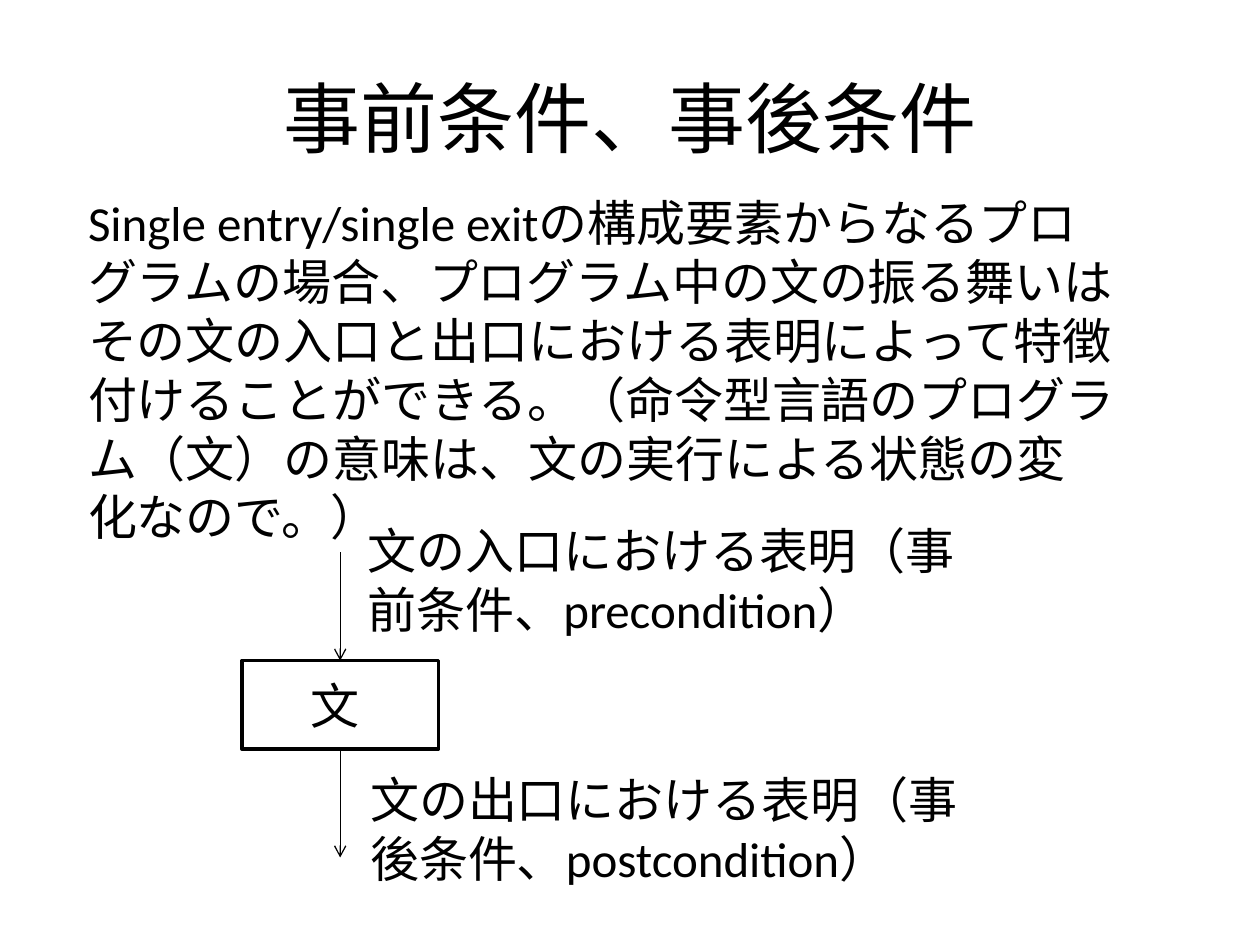
from lxml import etree
from pptx import Presentation
from pptx.dml.color import RGBColor
from pptx.enum.shapes import MSO_CONNECTOR, MSO_SHAPE
from pptx.enum.text import MSO_ANCHOR, PP_ALIGN
from pptx.oxml.ns import qn
from pptx.util import Pt

BLACK = RGBColor(0x00, 0x00, 0x00)
WHITE = RGBColor(0xFF, 0xFF, 0xFF)


def write(sp, text, size=28, align=PP_ALIGN.LEFT, anchor=MSO_ANCHOR.TOP):
    tf = sp.text_frame
    tf.word_wrap = True
    tf.vertical_anchor = anchor
    p = tf.paragraphs[0]
    p.alignment = align
    r = p.add_run()
    r.text = text
    r.font.size = Pt(size)
    r.font.name = "Calibri"
    r.font.color.rgb = BLACK


prs = Presentation()
prs.slide_width, prs.slide_height = Pt(720), Pt(540)
s = prs.slides.add_slide(prs.slide_layouts[5])
s.background.fill.solid()
s.background.fill.fore_color.rgb = WHITE

title = s.shapes.title
title.left, title.top, title.width, title.height = Pt(36), Pt(21.6), Pt(648), Pt(90)
write(title, "事前条件、事後条件", 44, PP_ALIGN.CENTER, MSO_ANCHOR.MIDDLE)

texts = [
    (43.2, 106.6, 600, 177, "Single entry/single exitの構成要素からなるプログラムの場合、"
     "プログラム中の文の振る舞いはその文の入口と出口における表明によって特徴付けることができる。"
     "（命令型言語のプログラム（文）の意味は、文の実行による状態の変化なので。）"),
    (203, 293.8, 361, 75, "文の入口における表明（事前条件、precondition）"),
    (204.5, 436.3, 363, 75, "文の出口における表明（事後条件、postcondition）"),
]
for left, top, width, height, text in texts:
    write(s.shapes.add_textbox(Pt(left), Pt(top), Pt(width), Pt(height)), text)

box_left, box_top, box_width, box_height = 138.2, 377.5, 112.4, 50.5
box = s.shapes.add_shape(MSO_SHAPE.RECTANGLE, Pt(box_left), Pt(box_top),
                         Pt(box_width), Pt(box_height))
box.shadow.inherit = False
box.fill.background()
box.line.color.rgb = BLACK
box.line.width = Pt(2)
write(box, "文 ", align=PP_ALIGN.CENTER, anchor=MSO_ANCHOR.MIDDLE)

center = box_left + box_width / 2
arrow_length = 62
for start, is_entry in ((box_top - arrow_length, True), (box_top + box_height, False)):
    arrow = s.shapes.add_connector(MSO_CONNECTOR.STRAIGHT, Pt(center), Pt(start),
                                   Pt(center), Pt(start + arrow_length))
    if is_entry:
        arrow.end_connect(box, 0)
    else:
        arrow.begin_connect(box, 2)
    arrow.line.color.rgb = BLACK
    arrow.line.width = Pt(0.75)
    etree.SubElement(arrow.line._get_or_add_ln(), qn("a:tailEnd"), type="arrow")
    etree.SubElement(arrow._element.spPr, qn("a:effectLst"))

prs.save("out.pptx")
